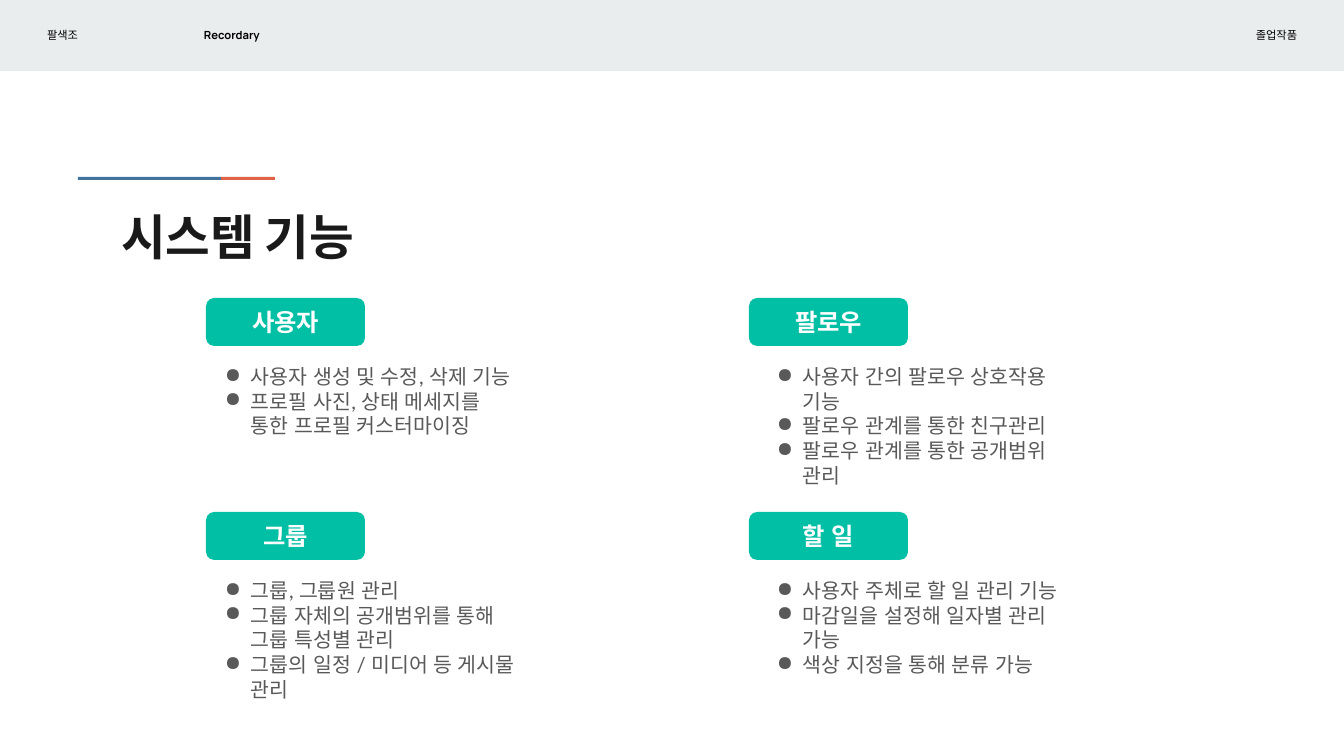
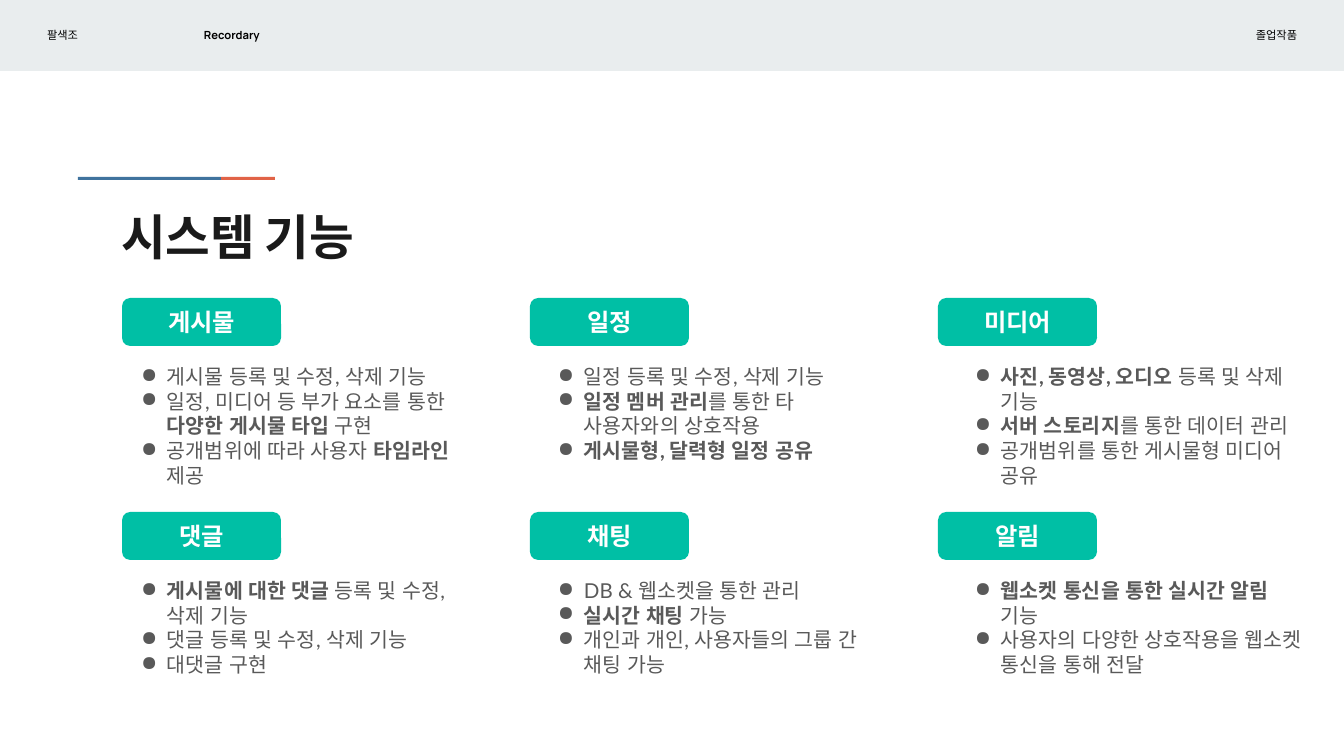
from pptx import Presentation
from pptx.dml.color import RGBColor
from pptx.enum.shapes import MSO_SHAPE
from pptx.enum.text import MSO_ANCHOR, PP_ALIGN
from pptx.oxml.ns import qn
from pptx.util import Pt
from lxml import etree

RECT, ROUNDED = MSO_SHAPE.RECTANGLE, MSO_SHAPE.ROUNDED_RECTANGLE
LEFT, CENTER, RIGHT = PP_ALIGN.LEFT, PP_ALIGN.CENTER, PP_ALIGN.RIGHT
TOP, MIDDLE = MSO_ANCHOR.TOP, MSO_ANCHOR.MIDDLE

# Content: **marks** enclose bold words; cards run row by row
TITLE = "시스템 기능"
HEADER = [  # text, left, width, alignment, bold
    ("팔색조", 34, 146, LEFT, False),
    ("Recordary", 191, 309, LEFT, True),
    ("졸업작품", 1189, 121, RIGHT, False),
]
SLIDES = [
    dict(columns=2, badge_x=206, badge_step=543, body_x=206, body_step=552, body_w=331, cards=[
        ("사용자", ["사용자 생성 및 수정, 삭제 기능",
                 "프로필 사진, 상태 메세지를 통한 프로필 커스터마이징"]),
        ("팔로우", ["사용자 간의 팔로우 상호작용 기능",
                 "팔로우 관계를 통한 친구관리",
                 "팔로우 관계를 통한 공개범위 관리"]),
        ("그룹", ["그룹, 그룹원 관리",
                "그룹 자체의 공개범위를 통해 그룹 특성별 관리",
                "그룹의 일정 / 미디어 등 게시물 관리"]),
        ("할 일", ["사용자 주체로 할 일 관리 기능",
                 "마감일을 설정해 일자별 관리 가능",
                 "색상 지정을 통해 분류 가능"]),
    ]),
    dict(columns=3, badge_x=122, badge_step=408, body_x=122, body_step=417, body_w=367, cards=[
        ("게시물", ["게시물 등록 및 수정, 삭제 기능",
                 "일정, 미디어 등 부가 요소를 통한 **다양한 게시물 타입** 구현",
                 "공개범위에 따라 사용자 **타임라인** 제공"]),
        ("일정", ["일정 등록 및 수정, 삭제 기능",
                "**일정 멤버 관리**를 통한 타 사용자와의 상호작용",
                "**게시물형, 달력형 일정 공유**"]),
        ("미디어", ["**사진, 동영상, 오디오** 등록 및 삭제 기능",
                 "**서버 스토리지**를 통한 데이터 관리",
                 "공개범위를 통한 게시물형 미디어 공유"]),
        ("댓글", ["**게시물에 대한 댓글** 등록 및 수정, 삭제 기능",
                "댓글 등록 및 수정, 삭제 기능",
                "대댓글 구현"]),
        ("채팅", ["DB & 웹소켓을 통한 관리",
                "**실시간 채팅** 가능",
                "개인과 개인, 사용자들의 그룹 간 채팅 가능"]),
        ("알림", ["**웹소켓 통신을 통한 실시간 알림** 기능",
                "사용자의 다양한 상호작용을 웹소켓 통신을 통해 전달"]),
    ]),
]

# Shared look
BAND, BLUE, ORANGE, GREEN, GREY = "E9EDEE", "40739E", "E16347", "00BFA5", "595959"
HEADER_STYLE = dict(size=6, name="Manrope", color="000000")
TITLE_STYLE = dict(size=26, name="Manrope", color="1A1A1A", bold=True)
BADGE_STYLE = dict(size=13, name="Arial", color="FFFFFF", bold=True)
BODY_STYLE = dict(size=11, name="Lato", color=GREY)
INSET = 13
ROW_Y, ROW_STEP, BODY_DROP = 298, 214, 53


def px(n):
    return round(n * 914400 / 134.4)


def rgb(value):
    return RGBColor.from_string(value)


def add_run(p, text, size, name, color, bold=False):
    r = p.add_run()
    r.text = text
    for key, value in dict(size=Pt(size), name=name, bold=bold).items():
        setattr(r.font, key, value)
    r.font.color.rgb = rgb(color)
    for tag in ("a:ea", "a:cs"):  # Korean glyphs follow the same font metrics
        etree.SubElement(r.font._element, qn(tag)).set("typeface", name)


def add_bullet(p):
    pPr = p._p.get_or_add_pPr()
    pPr.set("marL", str(px(32)))
    pPr.set("indent", str(px(-26)))
    color = etree.SubElement(pPr, qn("a:buClr"))
    etree.SubElement(color, qn("a:srgbClr")).set("val", GREY)
    etree.SubElement(pPr, qn("a:buChar")).set("char", "●")


def write(sp, lines, style, align=LEFT, anchor=TOP, bullets=False):
    tf = sp.text_frame
    frame = dict(word_wrap=True, vertical_anchor=anchor)
    for side in ("left", "top", "right", "bottom"):
        frame["margin_" + side] = px(INSET)
    for key, value in frame.items():
        setattr(tf, key, value)
    for i, line in enumerate(lines):
        p = tf.add_paragraph() if i else tf.paragraphs[0]
        p.alignment = align
        if bullets:
            add_bullet(p)
        for j, part in enumerate(line.split("**")):
            if part:
                add_run(p, part, **{**style, "bold": style.get("bold", False) or j % 2 == 1})


def add_text(s, box, lines, style, **layout):
    write(s.shapes.add_textbox(*map(px, box)), lines, style, **layout)


def add_block(s, kind, box, fill):
    sp = s.shapes.add_shape(kind, *map(px, box))
    sp.shadow.inherit = False
    sp.fill.solid()
    sp.fill.fore_color.rgb = rgb(fill)
    sp.line.fill.background()
    return sp


def add_frame(s):
    """Header band, two-colour rule and title."""
    add_block(s, RECT, (0, 0, 1344, 71), BAND)
    add_block(s, RECT, (78, 177, 143, 3), BLUE)
    add_block(s, RECT, (221, 177, 54, 3), ORANGE)
    for text, x, w, align, bold in HEADER:
        add_text(s, (x, 12, w, 47), [text], {**HEADER_STYLE, "bold": bold},
                 align=align, anchor=MIDDLE)
    add_text(s, (108, 194, 535, 83), [TITLE], TITLE_STYLE)


def add_cards(s, columns, badge_x, badge_step, body_x, body_step, body_w, cards):
    for i, (name, features) in enumerate(cards):
        row, col = divmod(i, columns)
        y = ROW_Y + row * ROW_STEP
        badge = add_block(s, ROUNDED, (badge_x + col * badge_step, y, 159, 48), GREEN)
        badge.adjustments[0] = 0.17
        write(badge, [name], BADGE_STYLE, align=CENTER, anchor=MIDDLE)
        add_text(s, (body_x + col * body_step, y + BODY_DROP, body_w, 155),
                 features, BODY_STYLE, bullets=True)


def main():
    prs = Presentation()
    prs.slide_width, prs.slide_height = px(1344), px(756)
    for content in SLIDES:
        s = prs.slides.add_slide(prs.slide_layouts[6])
        add_frame(s)
        add_cards(s, **content)
    prs.save("out.pptx")


if __name__ == "__main__":
    main()
